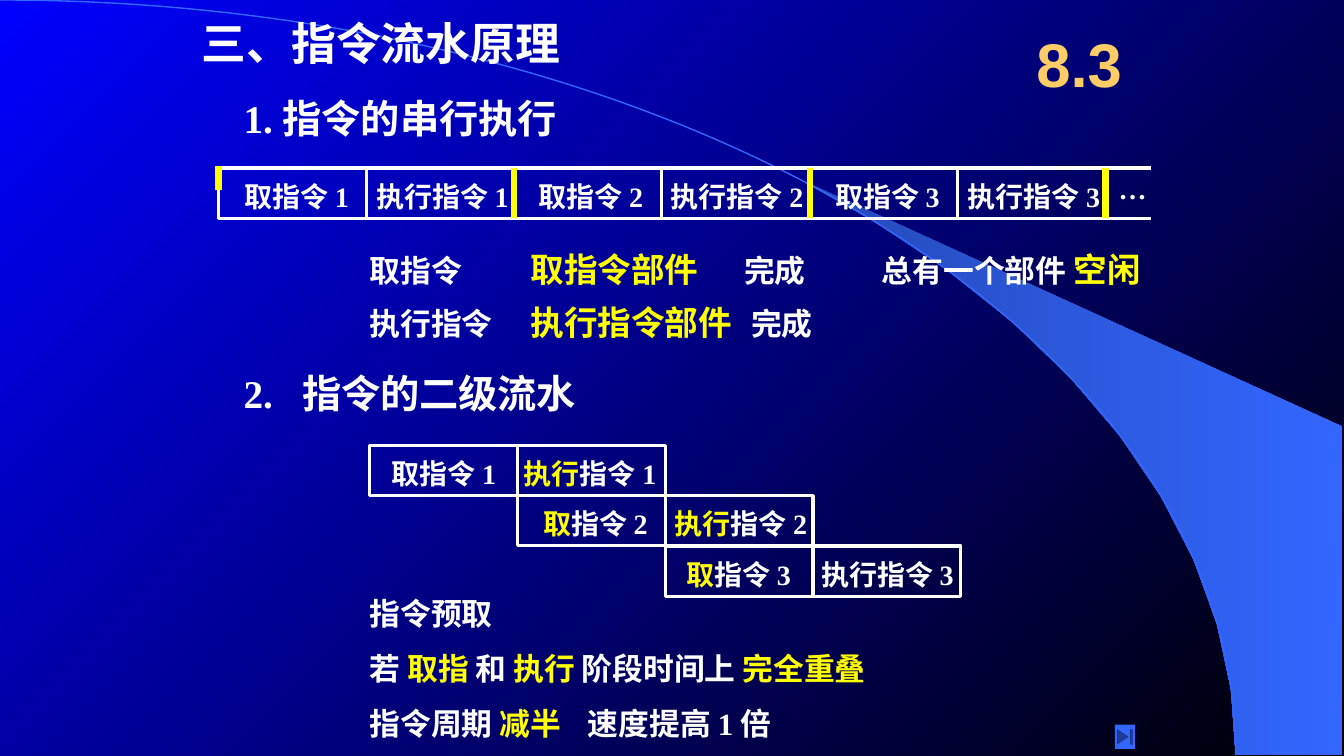
from math import cos, radians, sin

from lxml import etree
from pptx import Presentation
from pptx.dml.color import RGBColor
from pptx.enum import shapes, text
from pptx.oxml import ns
from pptx.util import Pt

WHITE, YELLOW, BLUE, GOLD = "FFFFFF", "FFFF00", "3366FF", "FFCC66"
SERIF = "Times New Roman"

TITLE = [("三、指令流水原理", 32, WHITE)]
LINES = [
    (174, 72, 369, [("1. 指令的串行执行", 28, WHITE)], []),
    (174, 268.6, 369, [("2.\t指令的二级流水", 28, WHITE)], [41.8]),
    (264, 180, 369, [("取指令\t", 22, WHITE), ("取指令部件\t", 24, YELLOW),
                     ("完成", 22, WHITE)], [115, 267.5]),
    (264, 217.8, 369, [("执行指令\t", 22, WHITE), ("执行指令部件\t", 24, YELLOW),
                       ("完成", 22, WHITE)], [115, 272.6]),
    (630, 180, 204, [("总有一个部件 ", 22, WHITE), ("空闲", 24, YELLOW)], []),
    (264, 426, 369, [("指令预取", 22, WHITE)], []),
    (264, 465, 414, [("若 ", 22, WHITE), ("取指 ", 22, YELLOW), ("和 ", 22, WHITE),
                     ("执行 ", 22, YELLOW), ("阶段时间上 ", 22, WHITE),
                     ("完全重叠", 22, YELLOW)], []),
    (264, 504, 369, [("指令周期 ", 22, WHITE), ("减半", 22, YELLOW),
                     ("\t速度提高 1 倍", 22, WHITE)], [156]),
]
SERIAL = [
    ("", "取指令 1", 11.5), ("", "执行指令 1", 0),
    ("", "取指令 2", 10.5), ("", "执行指令 2", -0.8),
    ("", "取指令 3", 11), ("", "执行指令 3", 0),
]
STAGES = [
    [("", "取指令 1", 8.6), ("执行", "指令 1", -2.5)],
    [("取", "指令 2", 11.3), ("执行", "指令 2", -0.4)],
    [("取", "指令 3", 8), ("", "执行指令 3", -1.4)],
]
CELL_W, CELL_H = 105.6, 36
SERIAL_LEFT, SERIAL_TOP = 156, 120
STAGE_LEFT, STAGE_TOP = 264, 318
ARC_W, ARC_H = 882.7, 539.3
EDGE = 958.3

deck = Presentation()
deck.slide_width, deck.slide_height = Pt(960), Pt(540)
page = deck.slides.add_slide(deck.slide_layouts[5])


def color(code):
    return RGBColor.from_string(code)


def gradient(fill, codes, angle):
    fill.gradient()
    fill.gradient_angle = angle
    for position, (stop, code) in enumerate(zip(fill.gradient_stops, codes)):
        stop.color.rgb = color(code)
        stop.position = position


def frame_setup(box, anchor, insets):
    frame = box.text_frame
    frame.word_wrap = True
    frame.auto_size = text.MSO_AUTO_SIZE.NONE
    frame.vertical_anchor = anchor
    frame.margin_left, frame.margin_top, frame.margin_right, frame.margin_bottom = map(Pt, insets)
    return frame


def write(para, spans, tabs=(), font=SERIF, align=text.PP_ALIGN.LEFT):
    para.alignment = align
    if tabs:
        stops = etree.SubElement(para._p.get_or_add_pPr(), ns.qn("a:tabLst"))
        for stop in tabs:
            etree.SubElement(stops, ns.qn("a:tab"), pos=str(Pt(stop)), algn="l")
    for words, size, code in spans:
        span = para.add_run()
        span.text = words
        span.font.name, span.font.size, span.font.bold = font, Pt(size), True
        span.font.color.rgb = color(code)


def text_box(left, top, width, height, spans, anchor=text.MSO_ANCHOR.TOP,
             insets=(7.2, 3.6, 7.2, 3.6), **style):
    box = page.shapes.add_textbox(Pt(left), Pt(top), Pt(width), Pt(height))
    write(frame_setup(box, anchor, insets).paragraphs[0], spans, **style)


def line(x1, y1, x2, y2, code, weight):
    rule = page.shapes.add_connector(
        shapes.MSO_CONNECTOR.STRAIGHT, Pt(x1), Pt(y1), Pt(x2), Pt(y2))
    rule.line.color.rgb = color(code)
    rule.line.width = Pt(weight)
    etree.SubElement(rule.element.spPr, ns.qn("a:effectLst"))


def outline(points, close):
    corners = [(Pt(x), Pt(y)) for x, y in points]
    builder = page.shapes.build_freeform(*corners[0])
    builder.add_line_segments(corners[1:], close=close)
    shape = builder.convert_to_shape()
    shape.shadow.inherit = False
    return shape


def bend(shape, controls):
    segment = next(shape.element.iter(ns.qn("a:lnTo")))
    segment.tag = ns.qn("a:cubicBezTo")
    for number, (x, y) in enumerate(controls):
        point = etree.Element(ns.qn("a:pt"), x=str(Pt(x)), y=str(Pt(y)))
        segment.insert(number, point)


def cells(left, top, row):
    for column, (marked, plain, shift) in enumerate(row):
        x = left + column * CELL_W
        cell = page.shapes.add_shape(
            shapes.MSO_SHAPE.RECTANGLE, Pt(x), Pt(top), Pt(CELL_W), Pt(CELL_H))
        cell.shadow.inherit = False
        cell.fill.background()
        cell.line.color.rgb = color(WHITE)
        cell.line.width = Pt(2.25)
        spans = [(marked, 20, YELLOW), (plain, 20, WHITE)]
        text_box(x + shift, top + 4.4, 110 if column % 2 else 90, 31,
                 [span for span in spans if span[0]])


gradient(page.background.fill, ("0000FF", "000000"), 315)

rim = [(ARC_W * sin(radians(a)), ARC_H * (1 - cos(radians(a)))) for a in range(40, 91, 5)]
swoosh = outline(rim + [(EDGE, ARC_H), (EDGE, 304.6)], True)
gradient(swoosh.fill, ("2449B6", BLUE), 0)
swoosh.line.fill.background()
curve = outline([(0, 0), (ARC_W, ARC_H)], False)
bend(curve, [(487.4, 0), (ARC_W, 241.2)])
curve.fill.background()
curve.line.color.rgb = color(BLUE)
curve.line.width = Pt(1)
for shape in (curve, swoosh):
    shape.element.getparent().insert(2, shape.element)

middle, line_insets = text.MSO_ANCHOR.MIDDLE, (0, 0, 0, 3.6)
title = page.shapes.title
title.left, title.top, title.width, title.height = Pt(144), Pt(18), Pt(312), Pt(28)
write(frame_setup(title, middle, line_insets).paragraphs[0], TITLE)

for left, top, width, spans, tabs in LINES:
    text_box(left, top, width, 28, spans, middle, line_insets, tabs=tabs)
text_box(725.8, 12, 90, 66, [("8.3", 44, GOLD)], middle, font="Arial", align=text.PP_ALIGN.CENTER)

cells(SERIAL_LEFT, SERIAL_TOP, SERIAL)
for y in (SERIAL_TOP, SERIAL_TOP + CELL_H):
    line(786, y, 822, y, WHITE, 2.25)
text_box(792, 118.8, 35, 31, [("…", 20, WHITE)])
for pair in (1, 2, 3):
    x = SERIAL_LEFT + 2 * pair * CELL_W
    line(x, SERIAL_TOP, x, SERIAL_TOP + CELL_H, YELLOW, 4.5)
line(SERIAL_LEFT, 118.8, SERIAL_LEFT, 135.5, YELLOW, 4.5)

for step, row in enumerate(STAGES):
    cells(STAGE_LEFT + step * CELL_W, STAGE_TOP + step * CELL_H, row)

button = page.shapes.add_shape(
    shapes.MSO_SHAPE.ACTION_BUTTON_END, Pt(796.3), Pt(517.7), Pt(14.4), Pt(17.3))
button.shadow.inherit = False
button.fill.solid()
button.fill.fore_color.rgb = color(BLUE)
button.line.fill.background()

deck.save("out.pptx")
